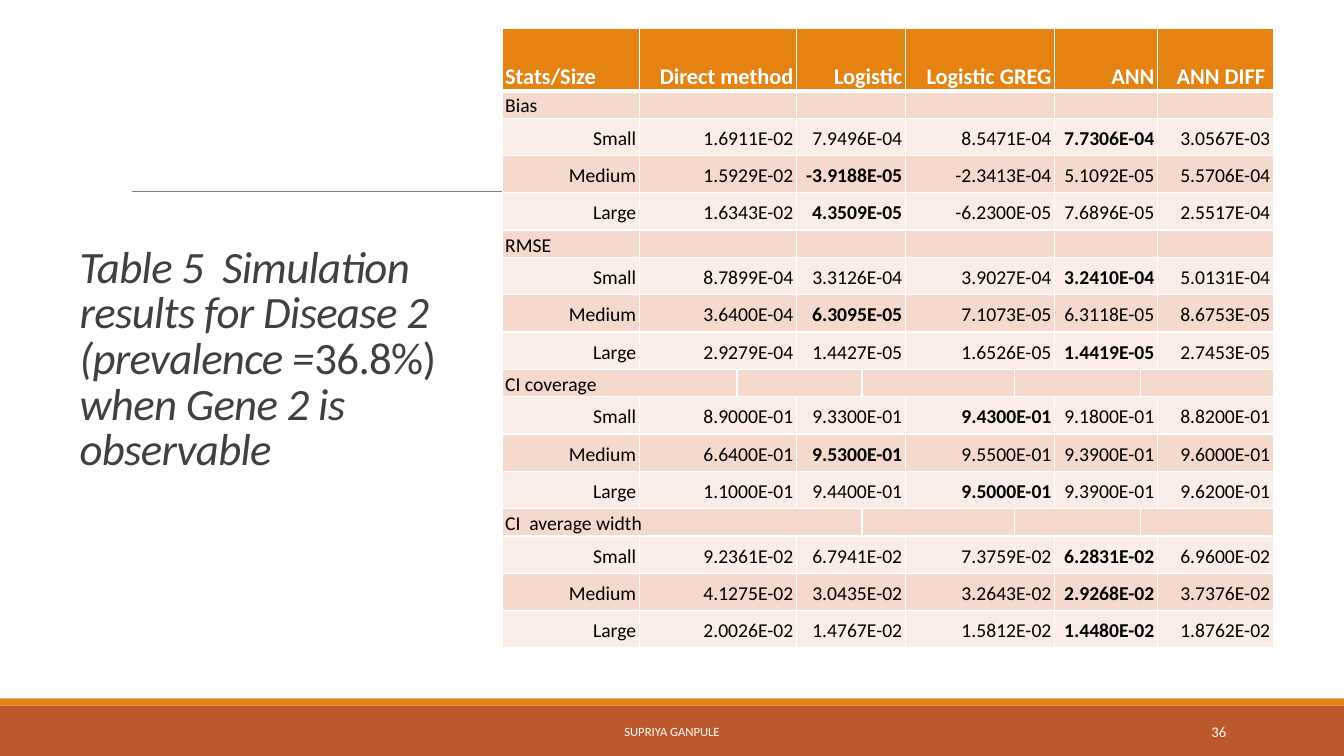
from lxml.etree import SubElement
from pptx import Presentation
from pptx.dml.color import RGBColor
from pptx.enum.shapes import MSO_CONNECTOR, MSO_SHAPE
from pptx.enum.text import MSO_ANCHOR, MSO_AUTO_SIZE, PP_ALIGN
from pptx.oxml.ns import qn
from pptx.util import Inches, Pt

# Content
TITLE = [("Table 5  Simulation results for Disease 2 (prevalence =", True),
         ("36.8%) ", False),
         ("when Gene 2\u00a0is observable", True)]
FOOTER, PAGE = "SUPRIYA GANPULE", "36"
HEADER = ["Stats/Size", "Direct method", "Logistic", "Logistic GREG", "ANN", "ANN DIFF "]
SIZES = ["Small", "Medium", "Large"]
# An asterisk marks the best value, set in bold
SECTIONS = {
    "Bias": ["1.6911E-02 7.9496E-04 8.5471E-04 *7.7306E-04 3.0567E-03",
             "1.5929E-02 *-3.9188E-05 -2.3413E-04 5.1092E-05 5.5706E-04",
             "1.6343E-02 *4.3509E-05 -6.2300E-05 7.6896E-05 2.5517E-04"],
    "RMSE": ["8.7899E-04 3.3126E-04 3.9027E-04 *3.2410E-04 5.0131E-04",
             "3.6400E-04 *6.3095E-05 7.1073E-05 6.3118E-05 8.6753E-05",
             "2.9279E-04 1.4427E-05 1.6526E-05 *1.4419E-05 2.7453E-05"],
    "CI coverage": ["8.9000E-01 9.3300E-01 *9.4300E-01 9.1800E-01 8.8200E-01",
                    "6.6400E-01 *9.5300E-01 9.5500E-01 9.3900E-01 9.6000E-01",
                    "1.1000E-01 9.4400E-01 *9.5000E-01 9.3900E-01 9.6200E-01"],
    "CI  average width": ["9.2361E-02 6.7941E-02 7.3759E-02 *6.2831E-02 6.9600E-02",
                          "4.1275E-02 3.0435E-02 3.2643E-02 *2.9268E-02 3.7376E-02",
                          "2.0026E-02 1.4767E-02 1.5812E-02 *1.4480E-02 1.8762E-02"],
}
COLORS = {"orange": "E48312", "rust": "BD582C", "band": "F5D9CC", "pale": "FAEDE7",
          "white": "FFFFFF", "black": "000000", "title": "404040", "rule": "808080"}
FONT = "Calibri"

# Table geometry: first column of each cell, by kind of row
COL_W = [1.36, 0.97, 0.59, 0.65, 0.43, 1.08, 0.4, 0.85, 0.17, 1.15]
HEADER_H, SECTION_H, VALUE_H = 0.62, 0.27, 0.37
STARTS = [0, 1, 3, 5, 7, 9]
SECTION_STARTS = {"CI coverage": [0, 2, 4, 6, 8], "CI  average width": [0, 4, 6, 8]}


def rgb(name):
    return RGBColor.from_string(COLORS[name])


def set_font(font, size, color, bold=False):
    font.name, font.size, font.bold = FONT, Pt(size), bold
    font.color.rgb = rgb(color)


def add_bar(s, top, height, color):
    bar = s.shapes.add_shape(MSO_SHAPE.RECTANGLE, 0, Inches(top), prs.slide_width, Inches(height))
    bar.shadow.inherit = False
    bar.fill.solid()
    bar.fill.fore_color.rgb = rgb(color)
    bar.line.fill.background()


def add_label(s, text, left, width, size, align):
    tf = s.shapes.add_textbox(Inches(left), Inches(7.06), Inches(width), Inches(0.4)).text_frame
    tf.word_wrap, tf.vertical_anchor = True, MSO_ANCHOR.MIDDLE
    p = tf.paragraphs[0]
    p.text, p.alignment = text, align
    set_font(p.font, size, "white")


def set_borders(cell, bottom):
    tcPr = cell._tc.get_or_add_tcPr()
    for i, (side, width) in enumerate([("L", 1), ("R", 1), ("T", 1), ("B", bottom)]):
        ln = SubElement(tcPr, qn(f"a:ln{side}"), w=str(Pt(width)))
        SubElement(SubElement(ln, qn("a:solidFill")), qn("a:srgbClr"), val=COLORS["white"])
        tcPr.insert(i, ln)


def fill_cell(cell, text, fill, size, color, bold, align, anchor):
    cell.margin_left = cell.margin_right = Inches(0.03)
    cell.margin_top = cell.margin_bottom = 0
    cell.vertical_anchor = anchor
    cell.fill.solid()
    cell.fill.fore_color.rgb = rgb(fill)
    p = cell.text_frame.paragraphs[0]
    p.alignment, p.line_spacing = align, 1.15
    set_font(p.font, size, color, bold)
    if text:
        p.text = text
    else:
        SubElement(p._p, qn("a:endParaRPr"), sz=str(size * 100))


prs = Presentation()
prs.slide_width, prs.slide_height = Inches(13.33), Inches(7.5)
s = prs.slides.add_slide(prs.slide_layouts[5])

# Bars and rule
add_bar(s, 7, 0.5, "rust")
add_bar(s, 6.93, 0.07, "orange")
rule = s.shapes.add_connector(MSO_CONNECTOR.STRAIGHT, Inches(1.31), Inches(1.9), Inches(12.21), Inches(1.9))
rule.line.color.rgb, rule.line.width = rgb("rule"), Pt(0.5)
SubElement(rule._element.spPr, qn("a:effectLst"))

# Title
title = s.shapes.title
title.left, title.top, title.width, title.height = map(Inches, (0.69, 0.7, 3.74, 6.11))
tf = title.text_frame
tf.word_wrap, tf.auto_size, tf.vertical_anchor = True, MSO_AUTO_SIZE.NONE, MSO_ANCHOR.MIDDLE
tf.margin_bottom = Inches(0.4)
p = tf.paragraphs[0]
p.alignment, p.line_spacing = PP_ALIGN.LEFT, 0.85
set_font(p.font, 32, "title")
for text, italic in TITLE:
    r = p.add_run()
    r.text, r.font.italic = text, italic
    r._r.get_or_add_rPr().set("spc", "-50")

# Rows as (kind, texts, first columns, height)
rows = [("header", HEADER, STARTS, HEADER_H)]
for name, lines in SECTIONS.items():
    rows.append(("section", [name], SECTION_STARTS.get(name, STARTS), SECTION_H))
    rows += [("value", [size] + line.split(), STARTS, VALUE_H) for size, line in zip(SIZES, lines)]

# Table
table = s.shapes.add_table(len(rows), len(COL_W), Inches(4.98), Inches(0.28),
                           Inches(sum(COL_W)), Inches(sum(row[3] for row in rows))).table
table.horz_banding = False
for col, width in zip(table.columns, COL_W):
    col.width = Inches(width)
for i, (kind, texts, starts, height) in enumerate(rows):
    table.rows[i].height = Inches(height)
    head = kind == "header"
    text_at = dict(zip(starts, texts))
    fill = "orange" if head else "band" if i % 2 else "pale"
    for c in range(len(COL_W)):
        text = text_at.get(c, "")
        left = kind == "section" or (head and c == 0)
        fill_cell(table.cell(i, c), text.lstrip("*"), fill, 16 if head else 14,
                  "white" if head else "black", head or text.startswith("*"),
                  PP_ALIGN.LEFT if left else PP_ALIGN.RIGHT,
                  MSO_ANCHOR.BOTTOM if head else MSO_ANCHOR.MIDDLE)
        set_borders(table.cell(i, c), 3 if head else 1)
    for first, after in zip(starts, starts[1:] + [len(COL_W)]):
        if after - first > 1:
            table.cell(i, first).merge(table.cell(i, after - 1))

# Footer and page number
add_label(s, FOOTER, 4.03, 5.27, 9, PP_ALIGN.CENTER)
add_label(s, PAGE, 10.83, 1.43, 10.5, PP_ALIGN.RIGHT)

prs.save("out.pptx")
